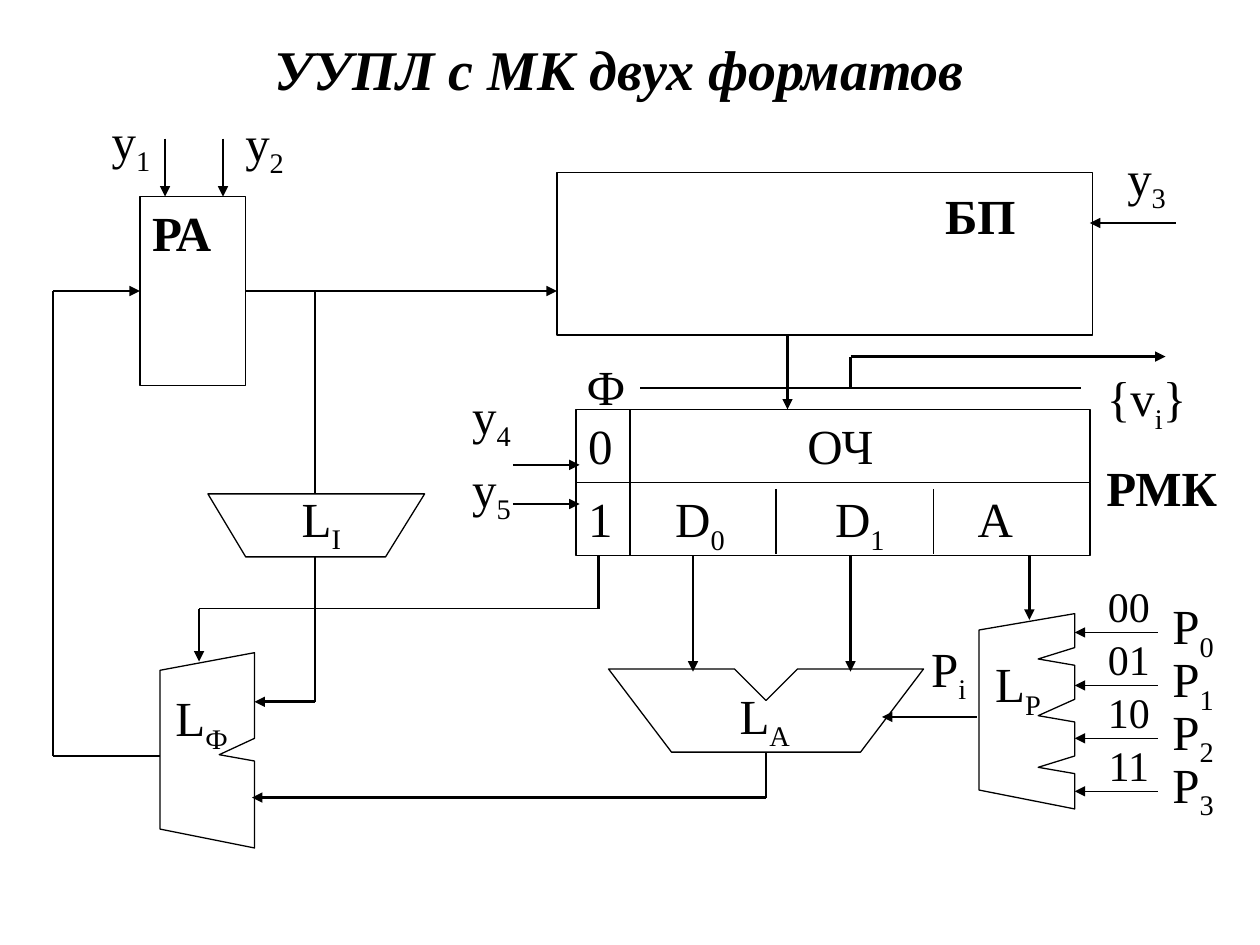
from dataclasses import dataclass
from itertools import pairwise

from lxml.etree import SubElement
from pptx import Presentation
from pptx.dml.color import RGBColor
from pptx.enum.shapes import MSO_CONNECTOR as Connector, MSO_SHAPE as Shape
from pptx.enum.text import MSO_ANCHOR as Anchor, PP_ALIGN as Align
from pptx.oxml.ns import qn
from pptx.util import Inches, Pt


@dataclass(frozen=True)
class Theme:
    font: str = "Times New Roman"
    ink: RGBColor = RGBColor(0, 0, 0)
    title: int = 32
    label: int = 28
    code: int = 24
    thin: float = 0.75
    frame: float = 1
    thick: float = 1.5


theme = Theme()
THIN, THICK = theme.thin, theme.thick

# Text between underscores is a subscript
TITLE = "УУПЛ с МК двух форматов"

# Blocks: left, top, width, height, text, tab stops
BLOCKS = {
    "address register": (1.11, 1.56, 0.84, 1.5, "РА", ()),
    "memory": (4.42, 1.37, 4.25, 1.29, "", ()),
    "format 1": (4.57, 3.83, 4.08, 0.58, "1\tD_0_\tD_1_\tA", (0.69, 1.96, 3.09)),
    "format 0": (4.57, 3.25, 4.08, 0.58, "0\tОЧ", (1.74,)),
}

# Labels: centre x, top, text
LABELS = [
    (1.04, 0.83, "y_1_"), (2.1, 0.84, "y_2_"), (9.1, 1.12, "y_3_"),
    (3.9, 3.01, "y_4_"), (3.9, 3.59, "y_5_"),
    (7.78, 1.42, "БП"), (9.22, 3.58, "РМК"),
    (4.81, 2.78, "Ф"), (9.1, 2.87, "{v_i_}"),
    (2.55, 3.83, "L_I_"), (1.6, 5.41, "L_Ф_"), (6.07, 5.39, "L_A_"),
    (8.08, 5.14, "L_P_"), (7.53, 5.02, "P_i_"),
]
BOLD = {"РА", "БП", "РМК"}

# Outlines of the logic blocks
OUTLINES = [
    [(1.65, 3.92), (3.37, 3.92), (3.06, 4.42), (1.95, 4.42)],
    [(4.83, 5.31), (5.83, 5.31), (6.08, 5.56), (6.33, 5.31),
     (7.33, 5.31), (6.83, 5.97), (5.33, 5.97)],
    [(2.02, 5.18), (1.27, 5.32), (1.27, 6.58), (2.02, 6.73),
     (2.02, 6.04), (1.74, 5.99), (2.02, 5.86)],
    [(8.53, 4.87), (7.77, 5), (7.77, 6.27), (8.53, 6.42),
     (8.53, 6.14), (8.24, 6.09), (8.53, 6), (8.53, 5.73),
     (8.24, 5.68), (8.53, 5.55), (8.53, 5.28), (8.24, 5.23), (8.53, 5.14)],
]

# Arrows: weight, corner points; the head is at the last point
ARROWS = [
    (THIN, [(1.31, 1.1), (1.31, 1.56)]),
    (THIN, [(1.77, 1.1), (1.77, 1.56)]),
    (THIN, [(9.33, 1.77), (8.65, 1.77)]),
    (THIN, [(4.07, 3.69), (4.6, 3.69)]),
    (THIN, [(4.07, 4), (4.6, 4)]),
    (THICK, [(6.25, 2.66), (6.25, 3.25)]),
    (THICK, [(6.75, 3.08), (6.75, 2.83), (9.25, 2.83)]),
    (THICK, [(5.5, 4.41), (5.5, 5.33)]),
    (THICK, [(6.75, 4.41), (6.75, 5.33)]),
    (THICK, [(8.17, 4.41), (8.17, 4.92)]),
    (THICK, [(7.75, 5.69), (7, 5.69)]),
    (THICK, [(6.08, 5.97), (6.08, 6.33), (2, 6.33)]),
    (THICK, [(2.5, 4.42), (2.5, 5.57), (2.02, 5.57)]),
    (THIN, [(4.75, 4.83), (1.58, 4.83), (1.58, 5.25)]),
]
FEEDBACK = [(1.27, 6), (0.42, 6), (0.42, 2.31), (1.11, 2.31)]
ADDRESS = [(1.95, 2.31), (4.42, 2.31)]

# Plain lines: weight, two ends
LINES = [
    (THICK, [(2.5, 2.31), (2.5, 3.92)]),
    (THICK, [(4.75, 4.41), (4.75, 4.83)]),
    (THIN, [(5, 3.25), (5, 4.41)]),
    (THIN, [(6.16, 3.88), (6.16, 4.4)]),
    (THIN, [(7.41, 3.88), (7.41, 4.4)]),
    (THIN, [(5.08, 3.08), (8.58, 3.08)]),
]

# Condition inputs of the selector
CODES = ["00", "01", "10", "11"]
INPUT_TOP, INPUT_PITCH = 5.02, 0.42


def write(shape, text, size, align=Align.LEFT, anchor=Anchor.TOP,
          bold=False, italic=False, tabs=()):
    frame = shape.text_frame
    frame.word_wrap = True
    frame.vertical_anchor = anchor
    para = frame.paragraphs[0]
    para.alignment = align
    if tabs:
        stops = SubElement(para._p.get_or_add_pPr(), qn("a:tabLst"))
        for stop in tabs:
            SubElement(stops, qn("a:tab"), pos=str(Inches(stop)), algn="l")
    font = para.font
    font.name, font.size = theme.font, Pt(size)
    font.bold, font.italic = bold, italic
    font.color.rgb = theme.ink
    for index, part in enumerate(text.split("_")):
        if part:
            span = para.add_run()
            span.text = part
            if index % 2:
                span._r.get_or_add_rPr().set("baseline", "-25000")


def add_label(page, center, top, text, size=theme.label, width=1.4):
    box = page.shapes.add_textbox(
        Inches(center - width / 2), Inches(top), Inches(width), Inches(0.54))
    write(box, text, size, Align.CENTER, bold=text in BOLD)


def outline(shape, weight):
    shape.shadow.inherit = False
    shape.fill.background()
    shape.line.color.rgb = theme.ink
    shape.line.width = Pt(weight)


def add_block(page, left, top, width, height, text, tabs):
    block = page.shapes.add_shape(
        Shape.RECTANGLE, *map(Inches, (left, top, width, height)))
    outline(block, theme.frame)
    if text:
        write(block, text, theme.label, bold=text in BOLD, tabs=tabs)
    return block


def add_wire(page, weight, points, arrow=True):
    for start, end in pairwise(points):
        wire = page.shapes.add_connector(
            Connector.STRAIGHT, *map(Inches, (*start, *end)))
        wire.line.color.rgb = theme.ink
        wire.line.width = Pt(weight)
        SubElement(wire._element.spPr, qn("a:effectLst"))
    if arrow:
        stroke = wire._element.spPr.find(qn("a:ln"))
        SubElement(stroke, qn("a:tailEnd"), type="triangle")
    return wire


def main():
    deck = Presentation()
    deck.slide_width, deck.slide_height = Inches(10), Inches(7.5)
    page = deck.slides.add_slide(deck.slide_layouts[6])

    # Title
    box = page.shapes.add_textbox(*map(Inches, (0.67, 0.25, 8.5, 0.58)))
    write(box, TITLE, theme.title, Align.CENTER, Anchor.MIDDLE, True, True)

    # Registers, memory and logic blocks
    blocks = {name: add_block(page, *block) for name, block in BLOCKS.items()}
    for points in OUTLINES:
        corners = [tuple(map(Inches, point)) for point in points]
        builder = page.shapes.build_freeform(*corners[0])
        builder.add_line_segments(corners[1:], close=True)
        outline(builder.convert_to_shape(), THIN)

    # Wires
    for weight, points in ARROWS:
        add_wire(page, weight, points)
    for weight, points in LINES:
        add_wire(page, weight, points, arrow=False)
    register = blocks["address register"]
    add_wire(page, THICK, FEEDBACK).end_connect(register, 1)
    add_wire(page, THICK, ADDRESS).begin_connect(register, 3)

    # Labels
    for label in LABELS:
        add_label(page, *label)

    # Condition inputs
    for index, code in enumerate(CODES):
        y = INPUT_TOP + index * INPUT_PITCH
        add_wire(page, THIN, [(9.19, y), (8.53, y)])
        add_label(page, 8.96, y - 0.46, code, theme.code, width=1)
        add_label(page, 9.47, y - 0.34, f"P_{index}_", width=1)

    deck.save("out.pptx")


if __name__ == "__main__":
    main()
